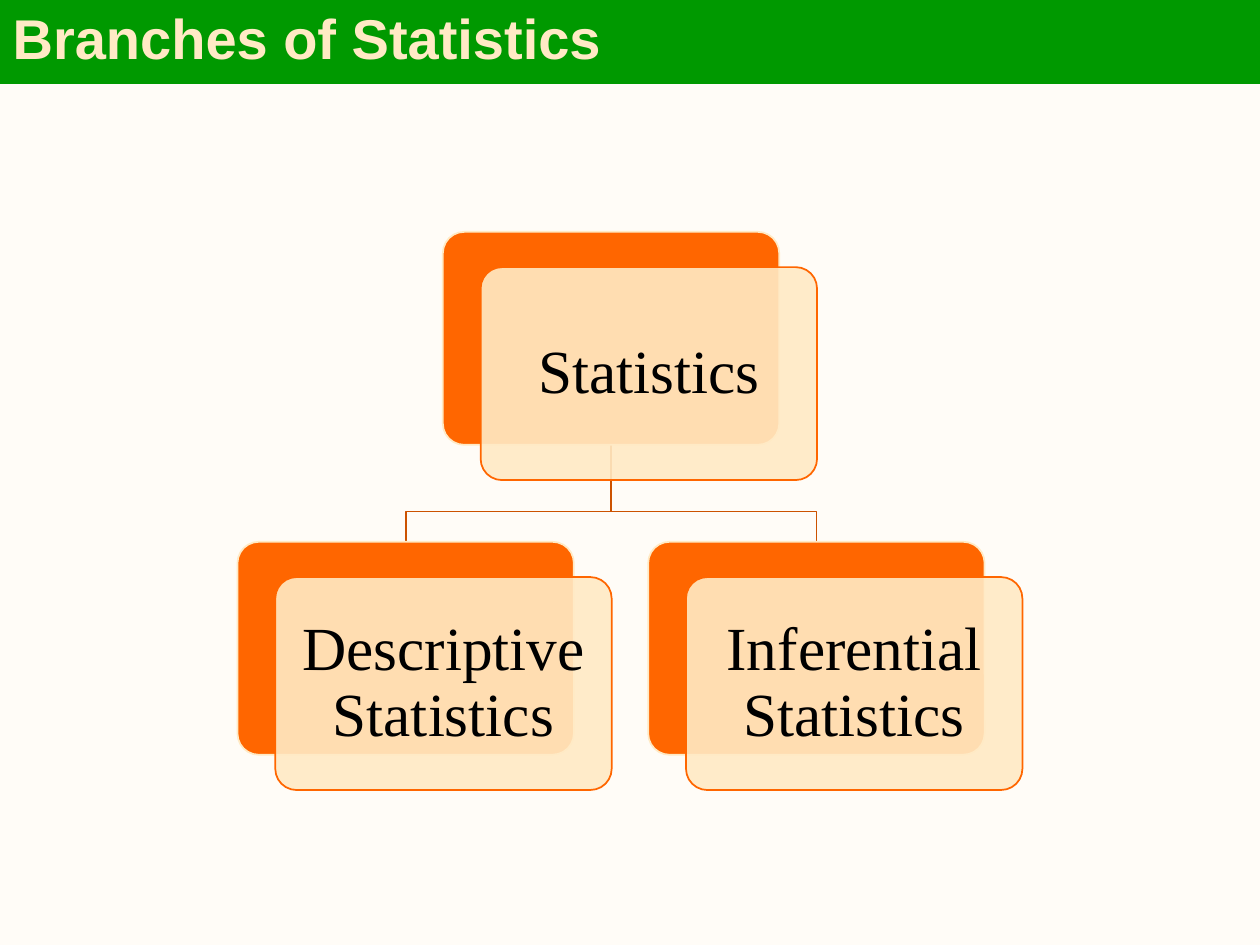
from dataclasses import dataclass

from lxml import etree
from pptx import Presentation
from pptx.dml.color import RGBColor
from pptx.enum import shapes, text
from pptx.oxml.ns import qn
from pptx.util import Inches, Pt


@dataclass(frozen=True)
class Theme:
    paper: str = "FFFCF7"
    green: str = "009900"
    cream: str = "FFEAC5"
    orange: str = "FF6600"
    rust: str = "CC5200"
    ink: str = "000000"
    head: str = "Arial"
    body: str = "Times New Roman"
    big: int = 32
    label: int = 35


class Deck:
    """Holds the theme and the current slide."""

    def __init__(self, theme):
        self.theme = theme
        self.prs = Presentation()
        self.prs.slide_width, self.prs.slide_height = Inches(10), Inches(7.5)
        self.slide = self.prs.slides.add_slide(self.prs.slide_layouts[5])
        self.paint(self.slide.background.fill, theme.paper)

    def paint(self, fill, color):
        fill.solid()
        fill.fore_color.rgb = RGBColor.from_string(color)

    def stroke(self, line, color, width=1):
        self.paint(line.fill, color)
        line.width = Pt(width)

    def letter(self, frame, words, font, size, color, align, bold=False):
        frame.text = words
        frame.word_wrap = True
        frame.auto_size = text.MSO_AUTO_SIZE.NONE
        frame.vertical_anchor = text.MSO_ANCHOR.MIDDLE
        para = frame.paragraphs[0]
        para.alignment = align
        para.line_spacing = 0.9
        style = para.runs[0].font
        style.name, style.size, style.bold = font, Pt(size), bold
        style.color.rgb = RGBColor.from_string(color)

    def title(self, words, high):
        t = self.theme
        bar = self.slide.shapes.title
        bar.left, bar.top = Inches(0), Inches(0)
        bar.width, bar.height = Inches(10), Inches(high)
        self.paint(bar.fill, t.green)
        self.stroke(bar.line, t.green, 0.75)
        self.letter(bar.text_frame, words, t.head, t.big, t.cream,
                    text.PP_ALIGN.LEFT, True)

    def box(self, x, y, w, h, fill, line, alpha=None):
        box = self.slide.shapes.add_shape(
            shapes.MSO_SHAPE.ROUNDED_RECTANGLE,
            Inches(x), Inches(y), Inches(w), Inches(h))
        box.adjustments[0] = 0.1
        box.shadow.inherit = False
        self.paint(box.fill, fill)
        self.stroke(box.line, line)
        if alpha:
            color = box.element.spPr.find(qn("a:solidFill"))[0]
            etree.SubElement(color, qn("a:alpha"), val=str(alpha * 1000))

    def label(self, words, x, y, w, h):
        t = self.theme
        frame = self.slide.shapes.add_textbox(
            Inches(x), Inches(y), Inches(w), Inches(h)).text_frame
        frame.margin_left = frame.margin_right = Inches(0.15)
        frame.margin_top = frame.margin_bottom = Inches(0.15)
        self.letter(frame, words, t.body, t.label, t.ink,
                    text.PP_ALIGN.CENTER)

    def card(self, words, x, y, w, h):
        t, dx, dy, pad = self.theme, 0.3, 0.28, 0.05
        self.box(x, y, w, h, t.orange, t.cream)
        self.box(x + dx, y + dy, w, h, t.cream, t.orange, alpha=90)
        self.label(words, x + dx + pad, y + dy + pad, w - 2 * pad, h - 2 * pad)

    def branch(self, points):
        first, *rest = [(Inches(x), Inches(y)) for x, y in points]
        pen = self.slide.shapes.build_freeform(*first)
        pen.add_line_segments(rest, close=False)
        line = pen.convert_to_shape()
        line.shadow.inherit = False
        line.fill.background()
        self.stroke(line.line, self.theme.rust)


def main():
    deck = Deck(Theme())
    deck.title("Branches of Statistics", 0.66)

    # Tree layout: one root centred over two leaves
    wide, high = 2.67, 1.69
    mid, step = 4.85, 1.63
    top, low, bend = 1.84, 4.3, 4.06
    leaves = [("Descriptive Statistics", mid - step),
              ("Inferential Statistics", mid + step)]

    # Branch lines lie behind the cards
    for _, x in reversed(leaves):
        deck.branch([(mid, top + high), (mid, bend), (x, bend), (x, low)])

    # Cards
    deck.card("Statistics", mid - wide / 2, top, wide, high)
    for words, x in leaves:
        deck.card(words, x - wide / 2, low, wide, high)

    deck.prs.save("out.pptx")


if __name__ == "__main__":
    main()
